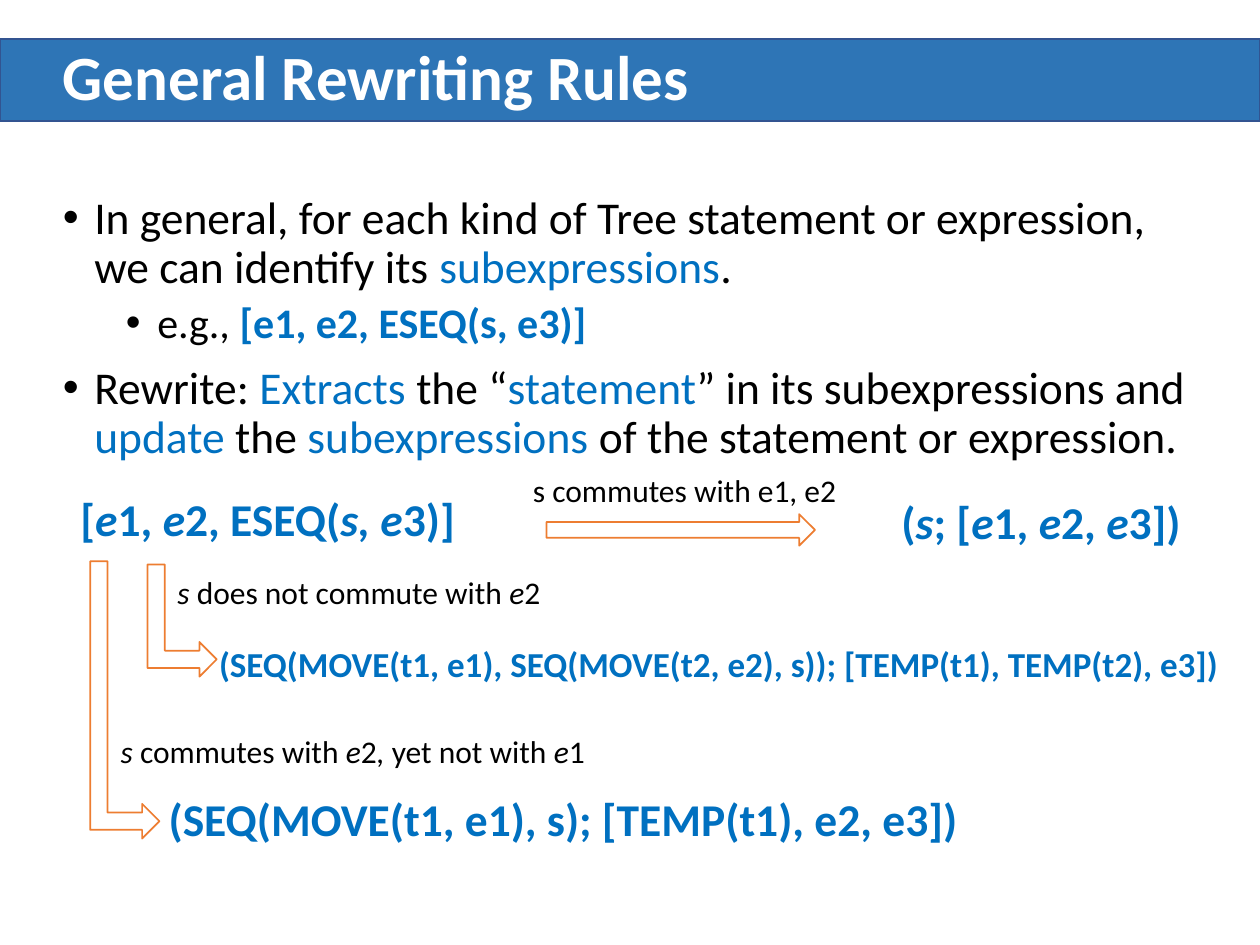
from lxml.etree import SubElement
from pptx import Presentation
from pptx.dml.color import RGBColor
from pptx.enum.shapes import MSO_SHAPE
from pptx.enum.text import MSO_ANCHOR, PP_ALIGN
from pptx.oxml.ns import qn
from pptx.util import Pt

BLACK, WHITE, BLUE = "000000", "FFFFFF", "0070C0"
BANNER, BANNER_EDGE, ORANGE = "2E75B6", "325491", "ED7D31"


def color(value):
    """Turn a hex string into a colour."""
    return RGBColor.from_string(value)


def add_shape(slide, preset, left, top, width, height, fill, line, rotation=0):
    """Add a filled, outlined preset shape."""
    shape = slide.shapes.add_shape(preset, Pt(left), Pt(top), Pt(width), Pt(height))
    shape.shadow.inherit = False
    shape.rotation = rotation
    shape.fill.solid()
    shape.fill.fore_color.rgb = color(fill)
    shape.line.color.rgb = color(line)
    shape.line.width = Pt(1)


def add_text_frame(slide, left, top, width, height, anchor=MSO_ANCHOR.TOP):
    """Add a wrapping text box and return its text frame."""
    frame = slide.shapes.add_textbox(Pt(left), Pt(top), Pt(width), Pt(height)).text_frame
    frame.word_wrap = True
    frame.vertical_anchor = anchor
    return frame


def write(paragraph, text, size=26, ink=BLACK, accent=None, bold=False,
          accent_bold=False, accent_italic=False, align=PP_ALIGN.LEFT):
    """Write text in which each part between bars takes the accent format."""
    paragraph.alignment = align
    for index, part in enumerate(text.split("|")):
        if not part:
            continue
        marked = index % 2 == 1
        run = paragraph.add_run()
        run.text = part
        font = run.font
        font.name, font.size = "Calibri", Pt(size)
        font.bold = bold or (marked and accent_bold)
        font.italic = marked and accent_italic
        font.color.rgb = color(accent if marked and accent else ink)


def add_label(slide, left, top, width, height, text, **text_format):
    """Add a one-line text box with italic accents."""
    frame = add_text_frame(slide, left, top, width, height)
    write(frame.paragraphs[0], text, accent_italic=True, **text_format)


def add_bullets(slide, items):
    """Add the bulleted explanation from (level, text) pairs."""
    frame = add_text_frame(slide, 28.8, 108, 665.3, 394.5)
    for index, (level, text) in enumerate(items):
        paragraph = frame.add_paragraph() if index else frame.paragraphs[0]
        paragraph.level = level
        paragraph.line_spacing = 0.9
        paragraph.space_before = Pt(5 if level else 10)
        properties = paragraph._p.get_or_add_pPr()
        properties.set("marL", str(Pt(18 + 36 * level)))
        properties.set("indent", str(Pt(-18)))
        SubElement(properties, qn("a:buFont")).set("typeface", "Arial")
        SubElement(properties, qn("a:buChar")).set("char", "•")
        write(paragraph, text, size=24 if level else 26, accent=BLUE,
              accent_bold=level == 1)


def add_title(slide, text):
    """Add the full-width banner and its title."""
    add_shape(slide, MSO_SHAPE.RECTANGLE, 0, 22.4, 720, 46.8, BANNER, BANNER_EDGE)
    frame = add_text_frame(slide, 28.8, 22.4, 665.3, 46.8, MSO_ANCHOR.MIDDLE)
    frame.paragraphs[0].line_spacing = 0.9
    write(frame.paragraphs[0], text, size=36, ink=WHITE, bold=True)


def main():
    """Build the slide and save it."""
    presentation = Presentation()
    presentation.slide_width, presentation.slide_height = Pt(720), Pt(540)
    slide = presentation.slides.add_slide(presentation.slide_layouts[6])

    add_title(slide, "General Rewriting Rules")
    add_bullets(slide, [
        (0, "In general, for each kind of Tree statement or expression, "
            "we can identify its |subexpressions|."),
        (1, "e.g., |[e1, e2, ESEQ(s, e3)]"),
        (0, "Rewrite: |Extracts |the “|statement|” in its subexpressions and "
            "|update |the |subexpressions |of the statement or expression."),
    ])

    arrows = [
        (MSO_SHAPE.RIGHT_ARROW, 312.3, 293.8, 153.4, 18, 0),
        (MSO_SHAPE.BENT_UP_ARROW, 72, 334.8, 64.1, 39.6, 90),
        (MSO_SHAPE.BENT_UP_ARROW, -7.9, 380.2, 158.4, 39.6, 90),
    ]
    for preset, left, top, width, height, rotation in arrows:
        add_shape(slide, preset, left, top, width, height, WHITE, ORANGE, rotation)

    formulas = [
        (38.9, 277.2, 272.2, 45.4, "[|e|1, |e|2, ESEQ(|s, e|3)]", 26, PP_ALIGN.LEFT),
        (469.4, 278.6, 212.4, 45.4, "(|s|; [|e|1, |e|2, |e|3])", 26, PP_ALIGN.RIGHT),
        (118.1, 363.6, 588.2, 28.8,
         "(SEQ(MOVE(t1, e1), SEQ(MOVE(t2, e2), s)); [TEMP(t1), TEMP(t2), e3])",
         20, PP_ALIGN.LEFT),
        (89.3, 448.6, 520.6, 33.8, "(SEQ(MOVE(t1, e1), s); [TEMP(t1), e2, e3])",
         26, PP_ALIGN.LEFT),
    ]
    for left, top, width, height, text, size, align in formulas:
        add_label(slide, left, top, width, height, text, size=size, ink=BLUE,
                  bold=True, align=align)

    conditions = [
        (297.4, 265.7, 200.9, "s commutes with e1, e2"),
        (94.3, 324, 235.4, "|s |does not commute with| e|2"),
        (61.9, 414.7, 403.2, "|s| commutes with |e|2|, |yet not with |e|1"),
    ]
    for left, top, width, text in conditions:
        add_label(slide, left, top, width, 28.8, text, size=18)

    presentation.save("out.pptx")


if __name__ == "__main__":
    main()
